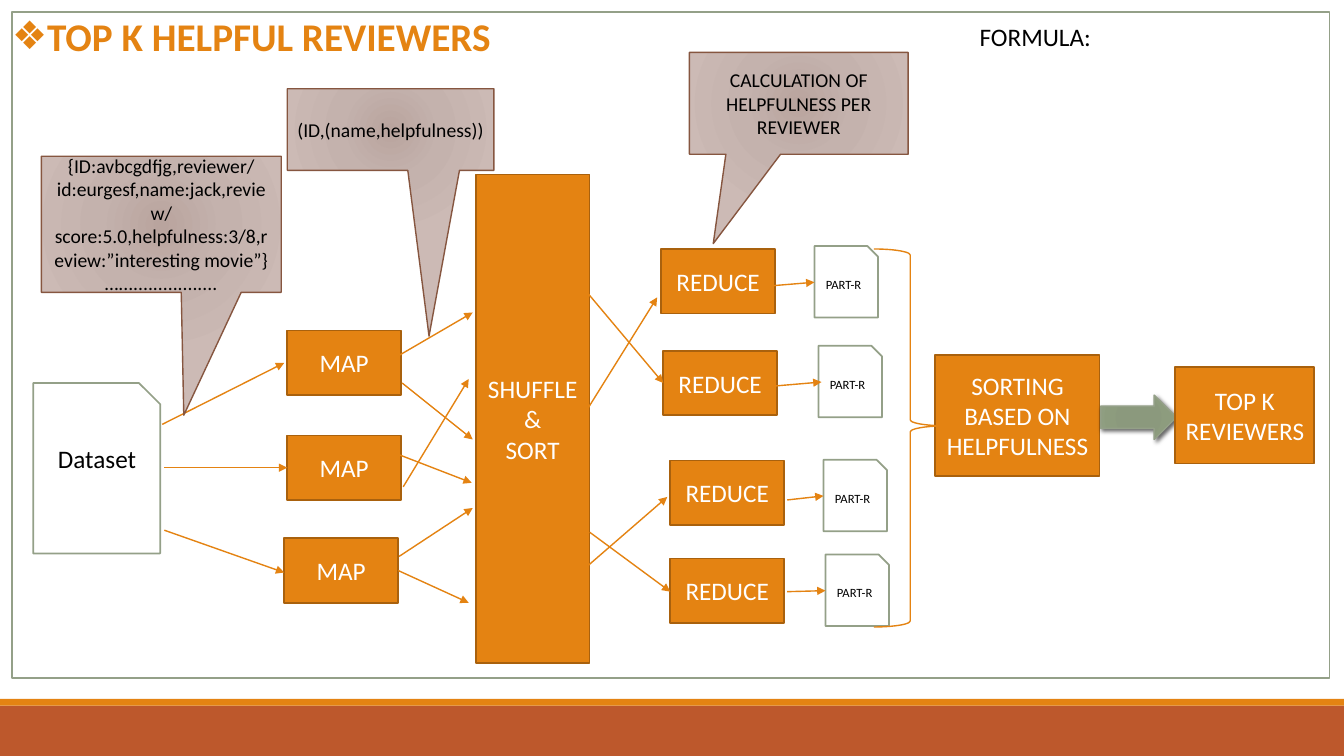
from dataclasses import dataclass
from typing import Any

from pptx import Presentation
from pptx.dml.color import RGBColor
from pptx.enum.dml import MSO_LINE
from pptx.enum.shapes import MSO_CONNECTOR, MSO_SHAPE
from pptx.enum.text import MSO_ANCHOR, MSO_AUTO_SIZE, PP_ALIGN
from pptx.oxml import parse_xml
from pptx.oxml.ns import nsdecls, qn
from pptx.util import Emu, Inches, Pt

RECT, SNIP = MSO_SHAPE.RECTANGLE, MSO_SHAPE.SNIP_1_RECTANGLE
CALLOUT, BRACE = MSO_SHAPE.RECTANGULAR_CALLOUT, MSO_SHAPE.RIGHT_BRACE
RIGHT_ARROW = MSO_SHAPE.RIGHT_ARROW
STRAIGHT, SOLID = MSO_CONNECTOR.STRAIGHT, MSO_LINE.SOLID
CENTER, LEFT = PP_ALIGN.CENTER, PP_ALIGN.LEFT
MIDDLE, TOP = MSO_ANCHOR.MIDDLE, MSO_ANCHOR.TOP
NO_AUTOFIT = MSO_AUTO_SIZE.NONE

# The slide is a grid of 160 columns and 90 rows
COLUMNS, ROWS = 160, 90
CELL = Inches(1 / 12)

FONT = "Calibri"
ORANGE, DARK_ORANGE, RUST = "E48312", "A9610D", "BD582C"
SAGE, BROWN, WHITE, BLACK = "94A088", "865640", "FFFFFF", "000000"
CALLOUT_STOPS = ((0, "B9A49E"), (45, "C4B2AD"), (100, "CCBAB5"))
ARROW_STOPS = ((0, "8A987B"), (34, "8B997D"), (70, "8D9C7E"), (100, "94A187"))


@dataclass
class Style:
    fill: str | None
    line: str | None
    width: float = 1.25
    text: str = WHITE
    size: float = 18
    stops: tuple = ()


@dataclass
class Block:
    kind: Any
    place: tuple[float, float, float, float]
    style: Style
    lines: tuple[str, ...] = ()
    adjust: tuple[float, ...] = ()


STEP = Style(ORANGE, DARK_ORANGE)
PAGE = Style(WHITE, SAGE, text=BLACK)
PART = Style(WHITE, SAGE, text=BLACK, size=9)
NOTE = Style(None, BROWN, 1, BLACK, 14, CALLOUT_STOPS)
RESULT_ARROW = Style(None, SAGE, 1, stops=ARROW_STOPS)
OUTLINE = Style(None, ORANGE, 1)

STEP_SIZE, PART_SIZE = (13.56, 7.68), (7.56, 8.52)
MAPS = ((34.2, 39.36), (34.2, 51.84), (33.84, 64.08))
REDUCERS = ((78.72, 29.64), (78.96, 41.76), (79.8, 54.84), (79.8, 66.48))
PARTS = ((96.96, 29.28), (97.44, 41.16), (98.04, 54.72), (98.28, 66))

BARS = (
    Block(RECT, (0, 84, COLUMNS, 6), Style(RUST, None)),
    Block(RECT, (0, 83.2, COLUMNS, 0.8), Style(ORANGE, None)),
)
DATASET = Block(SNIP, (3.96, 45.6, 15.12, 20.28), PAGE, ("Dataset",))
STEPS = (
    *(Block(RECT, spot + STEP_SIZE, STEP, ("MAP",)) for spot in MAPS),
    Block(RECT, (56.64, 20.76, 13.56, 58.2), STEP, ("SHUFFLE &", "SORT")),
    *(Block(RECT, spot + STEP_SIZE, STEP, ("REDUCE",)) for spot in REDUCERS),
    *(Block(SNIP, spot + PART_SIZE, PART, ("PART-R",)) for spot in PARTS),
    Block(RECT, (111.36, 42.24, 19.56, 14.4), STEP,
          ("SORTING BASED ON HELPFULNESS",)),
)
RESULT = Block(RECT, (139.92, 43.68, 16.56, 11.52), STEP, ("TOP K REVIEWERS",))
TO_RESULT = Block(RIGHT_ARROW, (131.04, 47.04, 9, 5.28), RESULT_ARROW)
NOTES = (
    Block(CALLOUT, (4.92, 18.6, 28.56, 16.2), NOTE,
          ("{ID:avbcgdfjg,reviewer/id:eurgesf,name:jack,review/score:5.0,"
           "helpfulness:3/8,review:”interesting movie”}",
           "…...................."), (0.094, 1.403)),
    Block(CALLOUT, (34.2, 10.56, 24.6, 9.72), NOTE,
          ("(ID,(name,helpfulness))",), (0.186, 2.531)),
    Block(CALLOUT, (82.08, 6.24, 26.04, 12.12), NOTE,
          ("CALCULATION OF HELPFULNESS PER REVIEWER",), (-0.391, 1.378)),
    Block(BRACE, (104.04, 29.64, 8.64, 45), OUTLINE, (), (0.083, 0.468)),
)
FLOWS = (
    # Dataset to map
    (19.32, 50.52, 33.84, 43.2), (19.56, 55.68, 34.2, 55.68),
    (19.56, 63.12, 33.84, 68.16),
    # Map to shuffle
    (46.8, 42.72, 56.28, 37.2), (47.88, 45.6, 56.28, 52.32),
    (48, 57.96, 55.8, 45.12), (47.4, 67.92, 55.8, 71.76),
    (47.52, 66.24, 56.28, 60.48), (47.16, 54, 56.16, 57.48),
    # Shuffle to reduce
    (68.88, 33.6, 78.96, 45.6), (68.88, 50.4, 78.24, 35.4),
    (68.64, 68.52, 79.44, 59.16), (70.2, 63.36, 79.8, 70.44),
    # Reduce to part
    (91.2, 34.08, 96.96, 33.6), (92.16, 45.96, 97.8, 45.48),
    (93.72, 59.52, 98.04, 59.04), (93.72, 70.44, 98.28, 70.32),
)


def grid(*cells: float) -> list[Emu]:
    return [Emu(round(cell * CELL)) for cell in cells]


def color(value: str) -> RGBColor:
    return RGBColor.from_string(value)


def assign(target: Any, values: dict[str, Any]) -> None:
    for name, value in values.items():
        setattr(target, name, value)


def write(frame: Any, lines: tuple[str, ...], size: float, ink: str,
          align: Any = CENTER, anchor: Any = MIDDLE, bold: bool = False) -> None:
    assign(frame, {"word_wrap": True, "auto_size": NO_AUTOFIT,
                   "vertical_anchor": anchor})
    for index, line in enumerate(lines):
        paragraph = frame.add_paragraph() if index else frame.paragraphs[0]
        paragraph.alignment = align
        run = paragraph.add_run()
        run.text = line
        assign(run.font, {"name": FONT, "size": Pt(size), "bold": bold})
        run.font.color.rgb = color(ink)


def paint(shape: Any, style: Style) -> None:
    if style.fill:
        shape.fill.solid()
        shape.fill.fore_color.rgb = color(style.fill)
    else:
        shape.fill.background()
    if style.stops:
        stops = "".join(f'<a:gs pos="{pos * 1000}"><a:srgbClr val="{tone}"/></a:gs>'
                        for pos, tone in style.stops)
        gradient = parse_xml(
            f'<a:gradFill {nsdecls("a")} rotWithShape="1"><a:gsLst>{stops}</a:gsLst>'
            '<a:path path="circle"><a:fillToRect l="100000" t="100000" '
            'r="100000" b="100000"/></a:path></a:gradFill>')
        properties = shape.element.spPr
        properties.replace(properties.find(qn("a:noFill")), gradient)
    if style.line:
        shape.line.color.rgb = color(style.line)
        shape.line.width = Pt(style.width)
    else:
        shape.line.fill.background()


def draw(shapes: Any, block: Block) -> Any:
    shape = shapes.add_shape(block.kind, *grid(*block.place))
    shape.shadow.inherit = False
    for index, value in enumerate(block.adjust):
        shape.adjustments[index] = value
    paint(shape, block.style)
    write(shape.text_frame, block.lines, block.style.size, block.style.text)
    return shape


def draw_flow(shapes: Any, ends: tuple[float, ...]) -> None:
    flow = shapes.add_connector(STRAIGHT, *grid(*ends))
    flow.line.color.rgb = color(ORANGE)
    assign(flow.line, {"width": Pt(1), "dash_style": SOLID})
    flow.line._get_or_add_ln().append(
        parse_xml(f'<a:tailEnd {nsdecls("a")} type="triangle"/>'))
    flow.element.spPr.append(parse_xml(f'<a:effectLst {nsdecls("a")}/>'))


def draw_heading(body: Any) -> None:
    left, top, width, height = grid(1.44, 1.44, 156.84, 79.32)
    assign(body, {"left": left, "top": top, "width": width, "height": height})
    paint(body, PAGE)
    write(body.text_frame, ("TOP K HELPFUL REVIEWERS",), 28, ORANGE, LEFT, TOP, True)
    assign(body.text_frame, {"margin_left": 0, "margin_right": 0})
    heading = body.text_frame.paragraphs[0]
    assign(heading, {"line_spacing": 0.9, "space_before": Pt(12), "space_after": Pt(2)})
    properties = heading._p.get_or_add_pPr()
    properties.set("marL", str(Inches(0.1)))
    properties.set("indent", str(-Inches(0.1)))
    for bullet in (f'<a:buClr {nsdecls("a")}><a:srgbClr val="{ORANGE}"/></a:buClr>',
                   f'<a:buChar {nsdecls("a")} char="❖"/>'):
        properties.append(parse_xml(bullet))


def main() -> None:
    deck = Presentation()
    deck.slide_width, deck.slide_height = grid(COLUMNS, ROWS)
    slide = deck.slides.add_slide(deck.slide_layouts[1])
    shapes = slide.shapes
    title = shapes.title.element
    title.getparent().remove(title)

    # Frame with heading, and footer bars
    draw_heading(slide.placeholders[1])
    for bar in BARS:
        draw(shapes, bar)

    # Pipeline
    dataset = draw(shapes, DATASET)
    assign(dataset.text_frame, {"margin_left": Inches(0.21), "margin_bottom": Inches(0.35)})
    for step in STEPS:
        draw(shapes, step)
    for ends in FLOWS:
        draw_flow(shapes, ends)

    # Result, with a shadow under its arrow
    result_arrow = draw(shapes, TO_RESULT)
    result_arrow.element.spPr.find(qn("a:effectLst")).append(parse_xml(
        f'<a:outerShdw {nsdecls("a")} blurRad="{Pt(3)}" dist="{Pt(2)}" dir="2700000">'
        f'<a:srgbClr val="{BLACK}"><a:alpha val="60000"/></a:srgbClr></a:outerShdw>'))
    draw(shapes, RESULT)

    # Callouts, brace and formula label
    for note in NOTES:
        draw(shapes, note)
    formula = shapes.add_textbox(*grid(115.44, 1.92, 24.6, 4.8))
    write(formula.text_frame, ("FORMULA:",), 18, BLACK, LEFT, TOP)
    deck.save("out.pptx")


if __name__ == "__main__":
    main()
